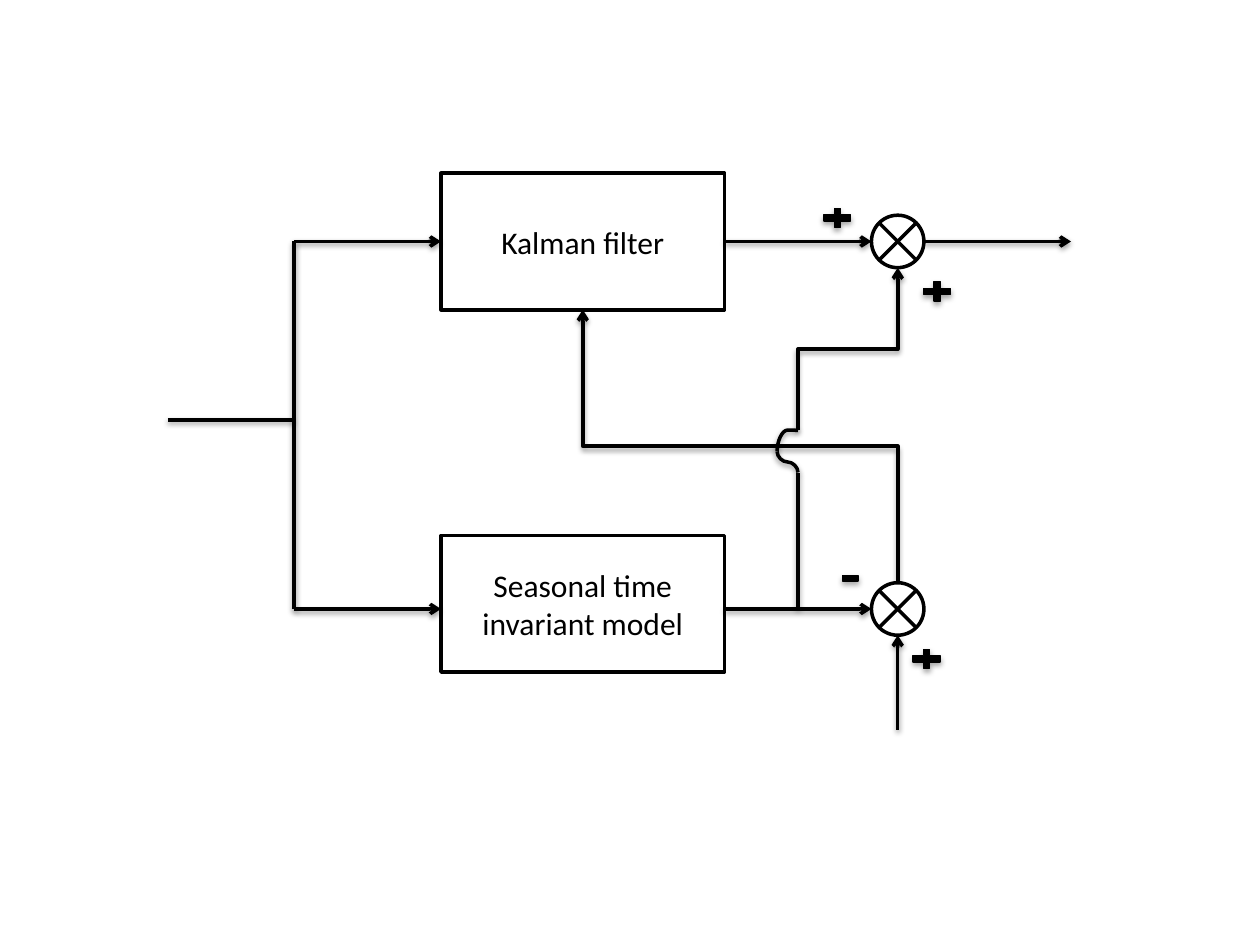
import lxml.etree
import pptx
import pptx.util
import pptx.dml.color
import pptx.enum.shapes
import pptx.enum.text
import pptx.oxml.ns

Pt = pptx.util.Pt
qn = pptx.oxml.ns.qn
KIND = pptx.enum.shapes.MSO_SHAPE
LINK = pptx.enum.shapes.MSO_CONNECTOR
COLORS = {"ink": "000000", "paper": "FFFFFF"}


def color(name):
    return pptx.dml.color.RGBColor.from_string(COLORS[name])


def node(parent, tag, **attrs):
    child = lxml.etree.SubElement(parent, qn(tag))
    for key, value in attrs.items():
        child.set(key, str(value))
    return child


def outline(item, width):
    item.line.color.rgb = color("ink")
    item.line.width = Pt(width)


def shade(item, alpha, dist):
    props = item._element.spPr
    old = props.find(qn("a:effectLst"))
    if old is not None:
        props.remove(old)
    shadow = node(node(props, "a:effectLst"), "a:outerShdw", blurRad=int(Pt(3.1)),
                  dist=int(Pt(dist)), dir=5400000, rotWithShape=0)
    tone = node(shadow, "a:srgbClr", val=COLORS["ink"])
    node(tone, "a:alpha", val=alpha * 1000)


def write(shape, text, size=18, font="Calibri", tint="ink"):
    frame = shape.text_frame
    frame.word_wrap = True
    frame.vertical_anchor = pptx.enum.text.MSO_ANCHOR.MIDDLE
    para = frame.paragraphs[0]
    para.alignment = pptx.enum.text.PP_ALIGN.CENTER
    run = para.add_run()
    run.text = text
    run.font.size = Pt(size)
    run.font.name = font
    run.font.color.rgb = color(tint)


def add(slide, kind, left, top, width, height, fill="paper", line=2):
    shape = slide.shapes.add_shape(kind, Pt(left), Pt(top), Pt(width), Pt(height))
    shape.shadow.inherit = False
    shape.fill.solid()
    shape.fill.fore_color.rgb = color(fill)
    outline(shape, line)
    return shape


def block(slide, top, text):
    shape = add(slide, KIND.FLOWCHART_PROCESS, 252, top, 162, 78)
    write(shape, text)
    return shape


def joint(slide, x, y, size=30):
    add(slide, KIND.FLOWCHART_SUMMING_JUNCTION, x - size / 2, y - size / 2, size, size)


def sign(slide, kind, left, top, width=21, height=15):
    shade(add(slide, kind, left, top, width, height, fill="ink", line=0.75), 35, 1.8)


def finish(link, arrow):
    outline(link, 2)
    if arrow:
        node(link._element.spPr.find(qn("a:ln")), "a:tailEnd", type="arrow")
    shade(link, 38, 1.6)


def wire(slide, start, end, arrow=False):
    link = slide.shapes.add_connector(LINK.STRAIGHT, *map(Pt, start + end))
    finish(link, arrow)
    return link


def bend(slide, kind, start, end, arrow=False, adjust=0.5):
    (x1, y1), (x2, y2) = start, end
    mid_x, mid_y = (x1 + x2) / 2, (y1 + y2) / 2
    half_w, half_h = abs(y2 - y1) / 2, abs(x2 - x1) / 2
    rising = y2 < y1
    side = 1 if rising == (x2 < x1) else -1
    link = slide.shapes.add_connector(
        kind, Pt(mid_x - half_w), Pt(mid_y + side * half_h),
        Pt(mid_x + half_w), Pt(mid_y - side * half_h))
    props = link._element.spPr
    props.find(qn("a:xfrm")).set("rot", str((270 if rising else 90) * 60000))
    guides = props.find(qn("a:prstGeom")).find(qn("a:avLst"))
    node(guides, "a:gd", name="adj1", fmla=f"val {round(adjust * 100000)}")
    finish(link, arrow)


def main():
    deck = pptx.Presentation()
    deck.slide_width, deck.slide_height = Pt(720), Pt(540)
    slide = deck.slides.add_slide(deck.slide_layouts[6])
    high, low, fork, tap, sum_x = 138, 348, 168, 456, 513
    left, right = sum_x - 15, sum_x + 15

    kalman = block(slide, 99, "Kalman filter")
    block(slide, 306, "Seasonal time invariant model")

    wire(slide, (96, 240), (fork, 240))
    wire(slide, (fork, high), (fork, low))
    wire(slide, (fork, high), (252, high), arrow=True).end_connect(kalman, 1)
    wire(slide, (fork, low), (252, low), arrow=True)
    wire(slide, (414, high), (left, high), arrow=True).begin_connect(kalman, 3)
    wire(slide, (414, low), (left, low), arrow=True)
    wire(slide, (right, high), (612, high), arrow=True)
    wire(slide, (sum_x, 417), (sum_x, low + 15), arrow=True)

    bend(slide, LINK.ELBOW, (sum_x, low - 15), (333, 177), arrow=True)
    wire(slide, (tap, low), (tap, 270))
    bend(slide, LINK.CURVE, (tap, 270), (444, 258))
    bend(slide, LINK.CURVE, (tap, 246), (444, 258), adjust=-0.02)
    bend(slide, LINK.ELBOW, (tap, 246), (sum_x, high + 15), arrow=True)

    for y in (high, low):
        joint(slide, sum_x, y)
    for x, y in ((468, 117), (525, 159), (519, 369)):
        sign(slide, KIND.MATH_PLUS, x, y)
    sign(slide, KIND.MATH_MINUS, 480, 324, 12, 13)
    deck.save("out.pptx")


if __name__ == "__main__":
    main()
